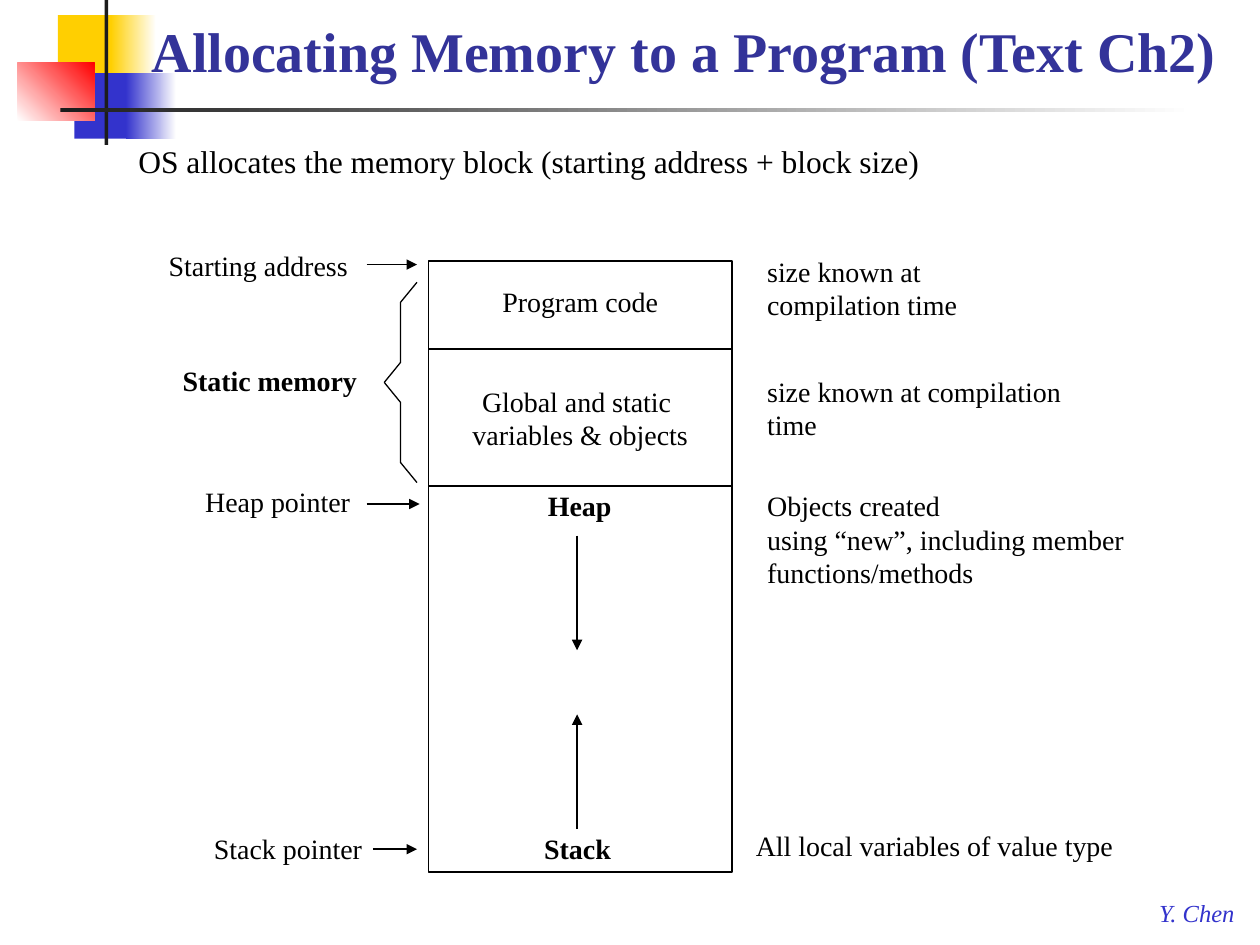
from dataclasses import dataclass

from lxml import etree
from pptx import Presentation
from pptx.dml.color import RGBColor
from pptx.enum.shapes import MSO_CONNECTOR, MSO_SHAPE
from pptx.enum.text import MSO_ANCHOR, PP_ALIGN
from pptx.oxml.ns import qn
from pptx.util import Inches, Pt

RECTANGLE = MSO_SHAPE.RECTANGLE
STRAIGHT = MSO_CONNECTOR.STRAIGHT
LEFT, CENTER = PP_ALIGN.LEFT, PP_ALIGN.CENTER
TOP, MIDDLE = MSO_ANCHOR.TOP, MSO_ANCHOR.MIDDLE


@dataclass(frozen=True)
class Theme:
    font: str = "Times New Roman"
    black: str = "000000"
    white: str = "FFFFFF"
    title: str = "333399"
    blue: str = "3333CC"
    yellow: str = "FFCF01"
    red: str = "FF0000"
    rule: str = "1C1C1C"
    title_size: int = 32
    lead_size: int = 18
    label_size: int = 16
    footer_size: int = 14


THEME = Theme()


def rgb(color):
    return RGBColor.from_string(color)


def write_text(shape, text, size=THEME.label_size, color=THEME.black, bold=False,
               italic=False, align=LEFT, anchor=TOP, wrap=True, spacing=None):
    frame = shape.text_frame
    frame.word_wrap = wrap
    frame.vertical_anchor = anchor
    frame.margin_left = frame.margin_right = Inches(0.1)
    frame.margin_top = frame.margin_bottom = Inches(0.05)
    paragraph = frame.paragraphs[0]
    paragraph.text = text
    paragraph.alignment = align
    if spacing:
        paragraph.line_spacing = spacing
    for run in paragraph.runs:
        run.font.name = THEME.font
        run.font.size = Pt(size)
        run.font.bold = bold
        run.font.italic = italic
        run.font.color.rgb = rgb(color)


def add_text(slide, box, text, **text_format):
    shape = slide.shapes.add_textbox(*map(Inches, box))
    write_text(shape, text, **text_format)


def add_block(slide, box, fill, fade_to=None, angle=0, line=None):
    """Rectangle with a plain fill, or a gradient when fade_to is given."""
    shape = slide.shapes.add_shape(RECTANGLE, *map(Inches, box))
    shape.shadow.inherit = False
    if fade_to:
        shape.fill.gradient()
        shape.fill.gradient_angle = angle
        for stop, color in zip(shape.fill.gradient_stops, (fill, fade_to)):
            stop.color.rgb = rgb(color)
    else:
        shape.fill.solid()
        shape.fill.fore_color.rgb = rgb(fill)
    if line:
        shape.line.color.rgb = rgb(line)
        shape.line.width = Pt(1)
    else:
        shape.line.fill.background()
    return shape


def add_arrow(slide, start, end):
    arrow = slide.shapes.add_connector(STRAIGHT, *map(Inches, start + end))
    arrow.line.color.rgb = rgb(THEME.black)
    arrow.line.width = Pt(1)
    etree.SubElement(arrow.line._get_or_add_ln(), qn("a:tailEnd"), type="triangle")
    etree.SubElement(arrow.element.spPr, qn("a:effectLst"))


def add_brace(slide, box):
    """Angular left brace whose point sits halfway down the box."""
    left, top, width, height = box
    outline = [(1, 0), (0.5, 0.1), (0.5, 0.4), (0, 0.5), (0.5, 0.6), (0.5, 0.9), (1, 1)]
    points = [(Inches(left + x * width), Inches(top + y * height)) for x, y in outline]
    builder = slide.shapes.build_freeform(*points[0])
    builder.add_line_segments(points[1:], close=False)
    brace = builder.convert_to_shape()
    brace.shadow.inherit = False
    brace.fill.background()
    brace.line.color.rgb = rgb(THEME.black)
    brace.line.width = Pt(0.75)


def add_decoration(slide, box):
    left, top, width, height = box
    blocks = [
        ((0.46, 0.12, 0.48, 0.52), THEME.yellow, None, 0),
        ((0.88, 0.12, 0.36, 0.52), THEME.yellow, THEME.white, 0),
        ((0.59, 0.58, 0.46, 0.52), THEME.blue, None, 0),
        ((1, 0.58, 0.4, 0.52), THEME.blue, THEME.white, 0),
        ((0.14, 0.5, 0.61, 0.46), THEME.white, THEME.red, 45),
        ((0.83, 0, 0.03, height), THEME.rule, None, 0),
        ((0.48, 0.86, width - 0.48, 0.03), THEME.rule, THEME.white, 0),
    ]
    for (x, y, block_width, block_height), fill, fade_to, angle in blocks:
        add_block(slide, (left + x, top + y, block_width, block_height),
                  fill, fade_to, angle)


def place_title(slide, box, text):
    title = slide.shapes.title
    title.left, title.top, title.width, title.height = map(Inches, box)
    write_text(title, text, size=THEME.title_size, color=THEME.title, bold=True,
               align=CENTER, anchor=MIDDLE, spacing=0.85)
    # The title lies in front of the corner decoration
    title.element.getparent().append(title.element)


def add_memory_block(slide, box):
    left, top, width, height = box
    sections = [
        ("Program code", 0.7, 0.8),
        ("Global and static \nvariables & objects", 1.09, None),
        ("", height - 1.79, None),
    ]
    for text, section_height, spacing in sections:
        section = add_block(slide, (left, top, width, section_height),
                            THEME.white, line=THEME.black)
        if text:
            write_text(section, text, align=CENTER, anchor=MIDDLE, wrap=False,
                       spacing=spacing)
        top += section_height

    # Heap and stack grow towards each other
    bottom = box[1] + height
    heap_top = bottom - sections[-1][1]
    middle = left + 1.18
    add_text(slide, (left + 0.85, heap_top - 0.03, 0.71, 0.37), "Heap",
             bold=True, wrap=False)
    add_text(slide, (left + 0.82, bottom - 0.37, 0.74, 0.37), "Stack",
             bold=True, wrap=False)
    add_arrow(slide, (middle, heap_top + 0.39), (middle, heap_top + 1.3))
    add_arrow(slide, (middle, bottom - 0.34), (middle, bottom - 1.25))


def add_pointers(slide, box):
    left, top, width, height = box
    labels = [
        ("Starting address", 0, 0, 1.63, False),
        ("Static memory", 0.11, 0.92, 1.61, True),
        ("Heap pointer", 0.29, 1.88, 1.41, False),
        ("Stack pointer", 0.36, height - 0.37, 1.86, False),
    ]
    for text, x, y, label_width, bold in labels:
        add_text(slide, (left + x, top + y, label_width, 0.37), text,
                 bold=bold, wrap=False)
    right = left + width
    for start, end, y in [(1.67, right, 0.18), (1.67, right + 0.02, 2.08),
                          (1.72, right, height - 0.18)]:
        add_arrow(slide, (left + start, top + y), (end, top + y))
    add_brace(slide, (right - 0.26, top + 0.32, 0.26, 1.59))


def add_notes(slide, box):
    left, top, width, height = box
    notes = [
        ("size known at compilation time", 0, 0, 2.38, 0.64),
        ("size known at compilation time", 0, 0.95, 2.78, 0.64),
        ("Objects created\nusing “new”, including member functions/methods",
         0, 1.86, width, 0.91),
        ("All local variables of value type", -0.09, height - 0.37, 3.26, 0.37),
    ]
    for text, x, y, note_width, note_height in notes:
        add_text(slide, (left + x, top + y, note_width, note_height), text)


def main():
    presentation = Presentation()
    presentation.slide_width, presentation.slide_height = Inches(10), Inches(7.5)
    slide = presentation.slides.add_slide(presentation.slide_layouts[5])

    # Heading and footer
    add_decoration(slide, (0, 0, 9.48, 1.15))
    place_title(slide, (1.02, 0.09, 8.82, 0.7),
                "Allocating Memory to a Program (Text Ch2)")
    add_text(slide, (1, 1.08, 8.46, 0.5),
             "OS allocates the memory block (starting address + block size)",
             size=THEME.lead_size, wrap=False)
    add_text(slide, (9.1, 7.08, 0.82, 0.33), "Y. Chen", size=THEME.footer_size,
             color=THEME.blue, italic=True, wrap=False)

    # Memory diagram
    add_memory_block(slide, (3.4, 2.07, 2.41, 4.85))
    add_pointers(slide, (1.24, 1.92, 2.07, 5))
    add_notes(slide, (5.99, 1.97, 3.85, 4.93))

    presentation.save("out.pptx")


if __name__ == "__main__":
    main()
